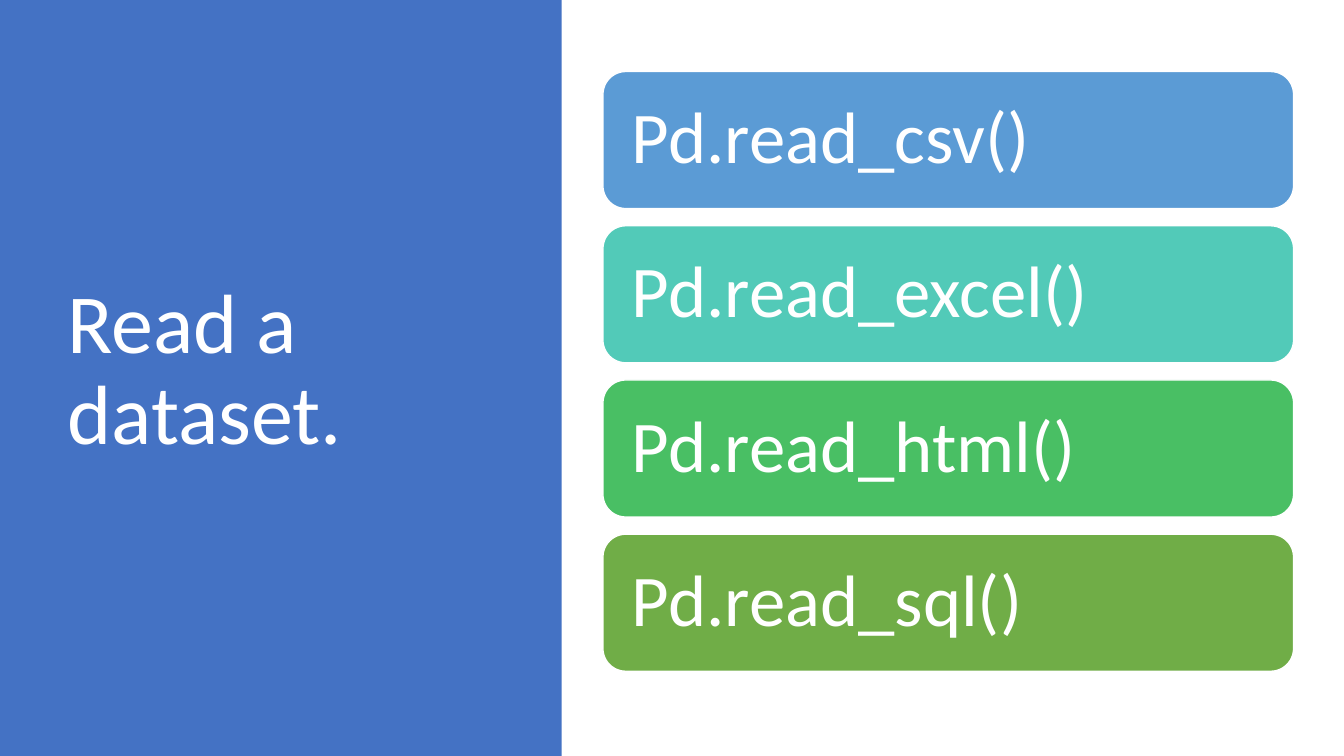
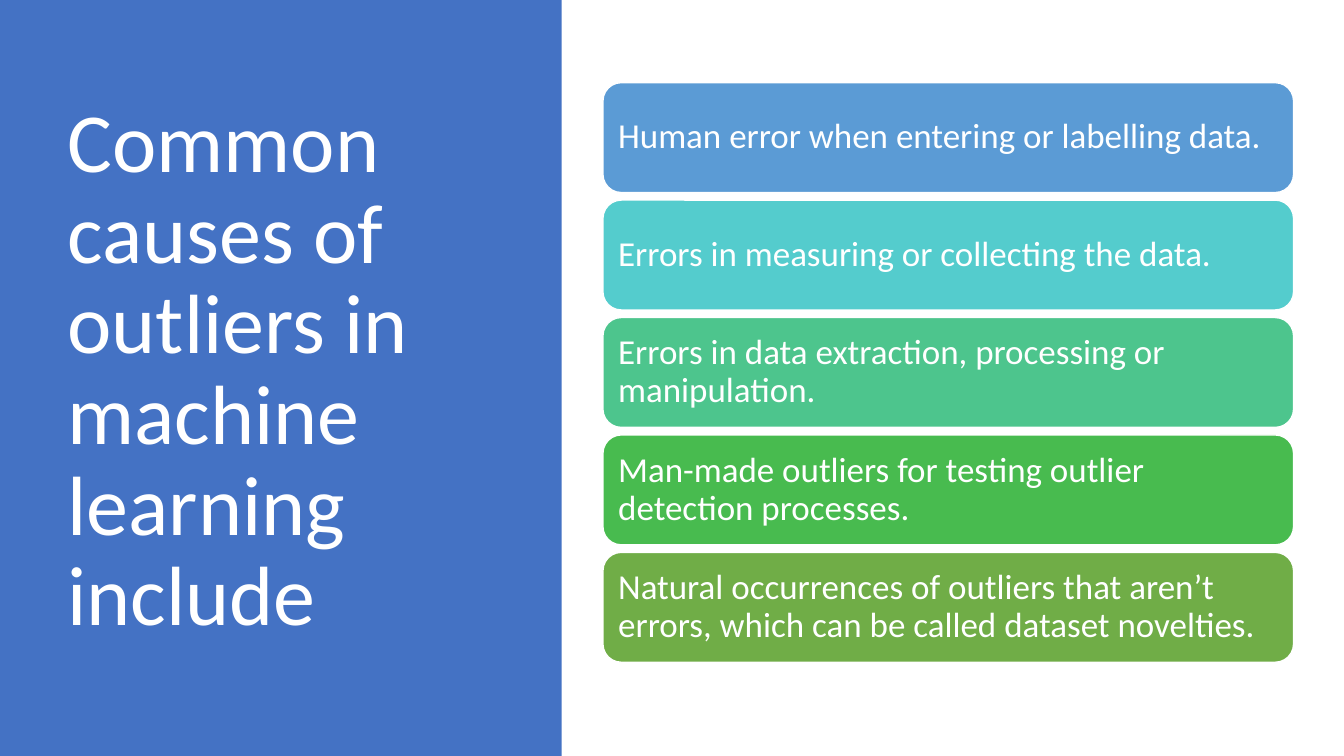
from pptx import Presentation
from pptx.dml.color import RGBColor
from pptx.enum.shapes import MSO_SHAPE
from pptx.enum.text import MSO_ANCHOR, MSO_AUTO_SIZE, PP_ALIGN
from pptx.util import Inches, Pt

WHITE = RGBColor(0xFF, 0xFF, 0xFF)
BAND_BLUE = RGBColor(0x44, 0x72, 0xC4)
SKY = RGBColor(0x5B, 0x9B, 0xD5)
TEAL = RGBColor(0x52, 0xCA, 0xB8)
EMERALD = RGBColor(0x49, 0xBF, 0x64)
AQUA = RGBColor(0x54, 0xCC, 0xCD)
MINT = RGBColor(0x4D, 0xC5, 0x8D)
GREEN = RGBColor(0x48, 0xBB, 0x4F)
OLIVE = RGBColor(0x70, 0xAD, 0x47)

READERS = [
    ("Pd.read_csv()", SKY),
    ("Pd.read_excel()", TEAL),
    ("Pd.read_html()", EMERALD),
    ("Pd.read_sql()", OLIVE),
]
CAUSES = [
    ("Human error when entering or labelling data.", SKY),
    ("Errors in measuring or collecting the data.", AQUA),
    ("Errors in data extraction, processing or manipulation.", MINT),
    ("Man-made outliers for testing outlier detection processes.", GREEN),
    ("Natural occurrences of outliers that aren’t errors, "
     "which can be called dataset novelties.", OLIVE),
]


def write_text(shape, text, size, color=WHITE, font="Calibri", inset=0.1):
    """Fill a shape with left-aligned, vertically centred text."""
    frame = shape.text_frame
    frame.word_wrap = True
    frame.auto_size = MSO_AUTO_SIZE.NONE
    frame.vertical_anchor = MSO_ANCHOR.MIDDLE
    frame.margin_left = frame.margin_right = Inches(inset)
    frame.margin_top = frame.margin_bottom = Inches(0.05)
    paragraph = frame.paragraphs[0]
    paragraph.alignment = PP_ALIGN.LEFT
    paragraph.line_spacing = 0.9
    run = paragraph.add_run()
    run.text = text
    run.font.name = font
    run.font.size = Pt(size)
    run.font.color.rgb = color


class Deck:
    """Hold the shared style and the current slide."""

    title_size = 60
    band_width = 5.57
    card_left = 5.98
    card_width = 6.85

    def __init__(self):
        """Start a widescreen presentation."""
        self.presentation = Presentation()
        self.presentation.slide_width = Inches(13.33)
        self.presentation.slide_height = Inches(7.5)
        self.slide = None

    def add_slide(self, title):
        """Add a slide with a title over the side band."""
        layout = self.presentation.slide_layouts.get_by_name("Title Only")
        self.slide = self.presentation.slides.add_slide(layout)
        placeholder = self.slide.shapes.title
        placeholder.left, placeholder.top = Inches(0.57), Inches(0.68)
        placeholder.width, placeholder.height = Inches(4.16), Inches(6.02)
        write_text(placeholder, title, self.title_size)
        band = self.add_box(MSO_SHAPE.RECTANGLE, 0, 0, self.band_width, 7.5, BAND_BLUE)
        band.line.fill.background()
        placeholder.element.addprevious(band.element)

    def add_box(self, kind, left, top, width, height, fill):
        """Add a filled shape without a shadow."""
        shape = self.slide.shapes.add_shape(
            kind, Inches(left), Inches(top), Inches(width), Inches(height)
        )
        shape.shadow.inherit = False
        shape.fill.solid()
        shape.fill.fore_color.rgb = fill
        return shape

    def add_cards(self, cards, top, bottom, height, size, inset):
        """Spread rounded cards evenly between top and bottom."""
        pitch = (bottom - top - height) / (len(cards) - 1)
        for index, (text, fill) in enumerate(cards):
            card = self.add_box(
                MSO_SHAPE.ROUNDED_RECTANGLE,
                self.card_left, top + index * pitch, self.card_width, height, fill,
            )
            card.line.color.rgb = WHITE
            card.line.width = Pt(1)
            write_text(card, text, size, inset=inset)


def main():
    """Build and save the two slides."""
    deck = Deck()
    deck.add_slide("Read a dataset.")
    deck.add_cards(READERS, top=0.71, bottom=6.66, height=1.36, size=52, inset=0.22)
    deck.add_slide("Common causes of outliers in machine learning include")
    deck.add_cards(CAUSES, top=0.82, bottom=6.57, height=1.09, size=25, inset=0.1)
    deck.presentation.save("out.pptx")


if __name__ == "__main__":
    main()
